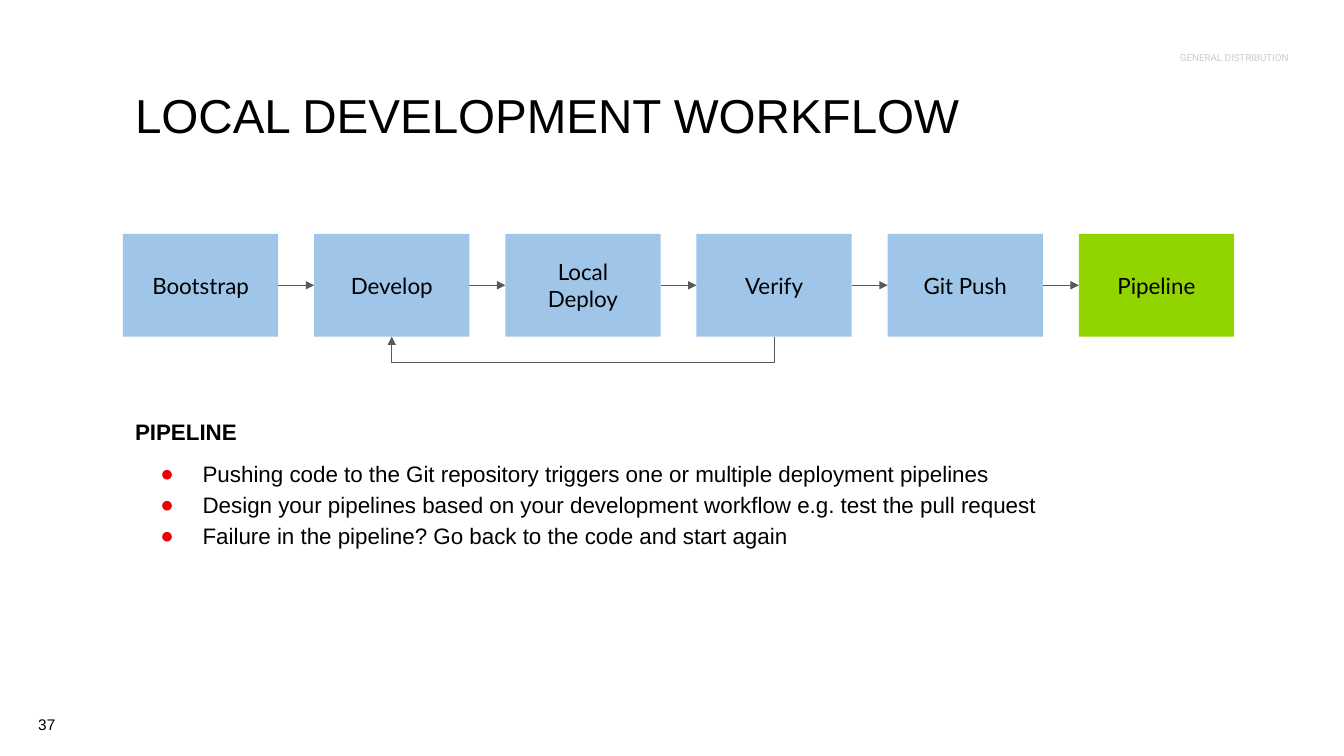
from lxml.etree import SubElement as Sub
from pptx import Presentation
from pptx.dml.color import RGBColor as RGB
from pptx.enum.shapes import MSO_CONNECTOR as Link, MSO_SHAPE as Kind
from pptx.enum.text import MSO_ANCHOR as Anchor, MSO_AUTO_SIZE as Fit, PP_ALIGN as Align
from pptx.oxml.ns import qn
from pptx.util import Inches, Pt

STEPS = ["Bootstrap", "Develop", "Local\nDeploy", "Verify", "Git Push", "Pipeline"]
POINTS = [
    "Pushing code to the Git repository triggers one or multiple deployment pipelines",
    "Design your pipelines based on your development workflow e.g. test the pull request",
    "Failure in the pipeline? Go back to the code and start again",
]
BLUE, GREEN, GREY, RED, BLACK = "9FC5E8", "92D400", "595959", "EE0000", "000000"
LEFT, TOP, WIDE, HIGH = 1.22, 2.32, 1.54, 1.02
PITCH = (10.7 - LEFT) / (len(STEPS) - 1)
MID, BASE, LOOP = TOP + HIGH / 2, TOP + HIGH, 3.6


def color(code):
    return RGB.from_string(code)


def frame(shape, anchor=Anchor.TOP, pad=0.13):
    """Set margins, wrapping and anchor, and return the text frame."""
    box = shape.text_frame
    box.word_wrap, box.auto_size = True, Fit.NONE
    box.vertical_anchor = anchor
    box.margin_left = box.margin_right = Inches(pad)
    box.margin_top = box.margin_bottom = Inches(pad)
    return box


def write(para, text, size, font="Arial", code=BLACK, bold=False, align=Align.LEFT):
    para.alignment = align
    run = para.add_run()
    run.text = text
    run.font.size, run.font.name, run.font.bold = Pt(size), font, bold
    run.font.color.rgb = color(code)


def textbox(slide, x, y, w, h, **style):
    return frame(slide.shapes.add_textbox(*map(Inches, (x, y, w, h))), **style)


def title(slide, text):
    head = slide.shapes.title
    head.left, head.top = Inches(1.21), Inches(0)
    head.width, head.height = Inches(10.92), Inches(1.55)
    write(frame(head, Anchor.BOTTOM).paragraphs[0], text, 34)


def step(slide, x, text, fill):
    box = slide.shapes.add_shape(Kind.RECTANGLE, *map(Inches, (x, TOP, WIDE, HIGH)))
    box.shadow.inherit = False
    box.fill.solid()
    box.fill.fore_color.rgb = color(fill)
    box.line.fill.background()
    body = frame(box, Anchor.MIDDLE)
    for n, part in enumerate(text.split("\n")):
        para = body.add_paragraph() if n else body.paragraphs[0]
        write(para, part, 16, "Lato", align=Align.CENTER)


def point(line):
    """Style a line and end it with an arrowhead."""
    line.color.rgb, line.width = color(GREY), Pt(0.75)
    Sub(line._get_or_add_ln(), qn("a:tailEnd"), type="triangle")


def arrow(slide, x, end):
    link = slide.shapes.add_connector(Link.STRAIGHT, *map(Inches, (x, MID, end, MID)))
    point(link.line)
    Sub(link._element.spPr, qn("a:effectLst"))


def loop(slide, start, end):
    """Lead back under the steps from one centre to another."""
    path = slide.shapes.build_freeform(Inches(start), Inches(BASE))
    turns = [(start, LOOP), (end, LOOP), (end, BASE)]
    path.add_line_segments([(Inches(x), Inches(y)) for x, y in turns], close=False)
    shape = path.convert_to_shape()
    shape.shadow.inherit = False
    shape.fill.background()
    point(shape.line)


def bullet(para):
    props = para._p.get_or_add_pPr()
    props.set("marL", str(Inches(0.67)))
    props.set("indent", str(Inches(-0.42)))
    Sub(Sub(props, qn("a:buClr")), qn("a:srgbClr"), val=RED)
    Sub(props, qn("a:buFont"), typeface="Arial")
    Sub(props, qn("a:buChar"), char="●")


def notes(slide, head, points):
    """Write a bold heading with bullet points below it."""
    body = textbox(slide, 1.21, 3.98, 11.17, 2.57)
    write(body.paragraphs[0], head, 16, bold=True)
    for n, text in enumerate(points):
        para = body.add_paragraph()
        bullet(para)
        para.space_before = Pt(0 if n else 8)
        write(para, text, 16)
    for para in body.paragraphs:
        para.line_spacing = 1.15


def main():
    deck = Presentation()
    deck.slide_width, deck.slide_height = Inches(13.33), Inches(7.5)
    slide = deck.slides.add_slide(deck.slide_layouts[5])
    title(slide, "LOCAL DEVELOPMENT WORKFLOW")

    label = textbox(slide, 10.58, 0.3, 2.2, 0.33, anchor=Anchor.BOTTOM, pad=0).paragraphs[0]
    label.line_spacing = 1.5
    write(label, "GENERAL DISTRIBUTION", 7, "Roboto", "CCCCCC", align=Align.RIGHT)

    lefts = [LEFT + n * PITCH for n in range(len(STEPS))]
    for x, text in zip(lefts, STEPS):
        step(slide, x, text, GREEN if text == "Pipeline" else BLUE)
    for x, end in zip(lefts, lefts[1:]):
        arrow(slide, x + WIDE, end)
    mids = {text: x + WIDE / 2 for x, text in zip(lefts, STEPS)}
    loop(slide, mids["Verify"], mids["Develop"])

    notes(slide, "PIPELINE", POINTS)
    number = textbox(slide, 0.15, 6.9, 0.53, 0.57, anchor=Anchor.MIDDLE)
    write(number.paragraphs[0], "37", 11, align=Align.RIGHT)
    deck.save("out.pptx")


if __name__ == "__main__":
    main()
